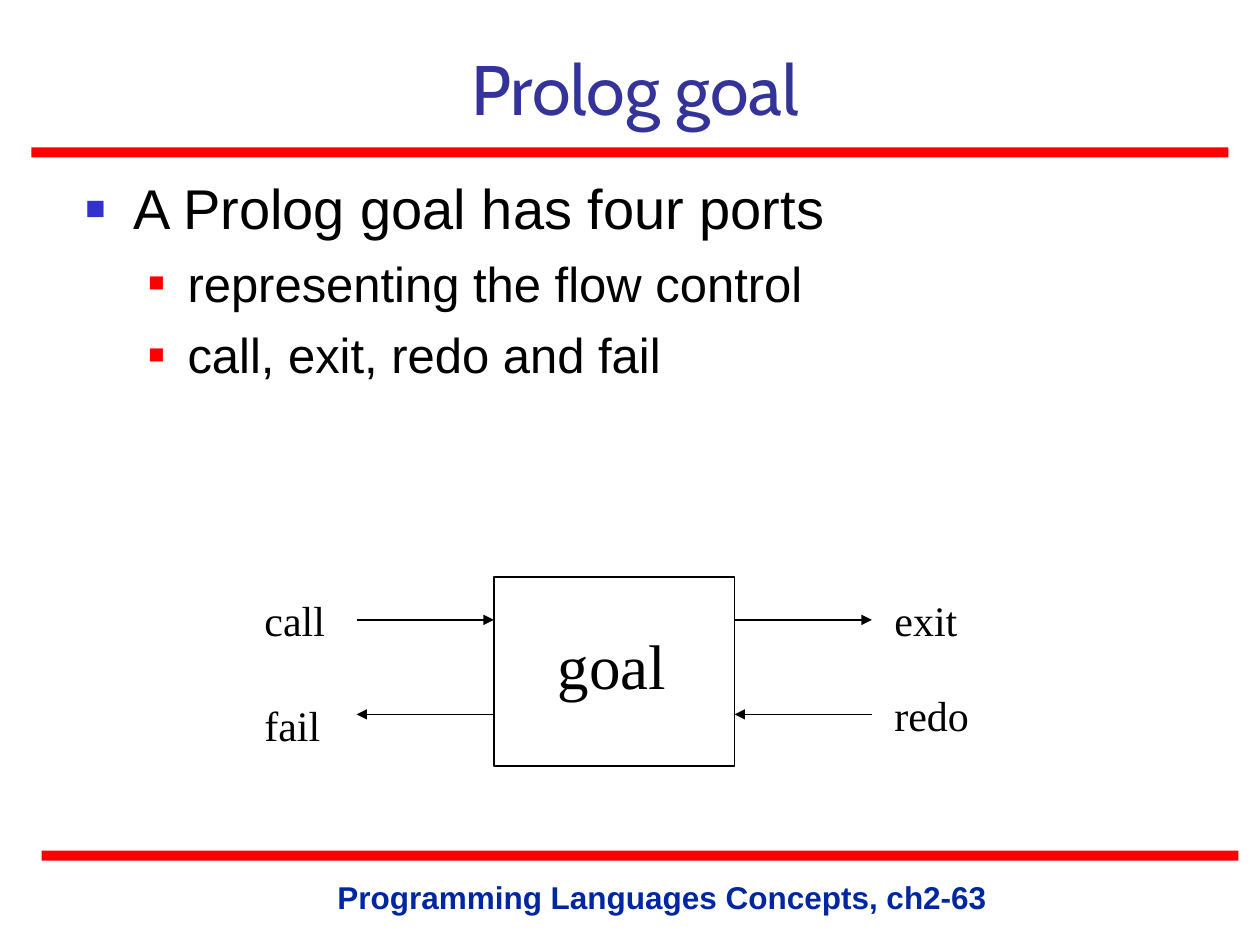
from dataclasses import dataclass

from lxml.etree import SubElement
from pptx import Presentation
from pptx.dml.color import RGBColor
from pptx.enum.shapes import MSO_CONNECTOR, MSO_SHAPE
from pptx.enum.text import MSO_ANCHOR, PP_ALIGN
from pptx.oxml.ns import qn
from pptx.util import Inches, Pt

COLORS = {
    "red": "FF0000",
    "title": "333399",
    "bullet": "3333CC",
    "footer": "00279F",
    "black": "000000",
}
SERIF = "Times New Roman"


@dataclass
class Label:
    text: str
    left: float
    top: float
    width: float
    height: float
    size: int = 24
    font: str = SERIF
    color: str = "black"
    bold: bool = False
    align: PP_ALIGN = PP_ALIGN.LEFT
    anchor: MSO_ANCHOR = MSO_ANCHOR.TOP


@dataclass
class Level:
    size: int
    left: float
    hang: float
    before: int
    color: str
    scale: int


@dataclass
class Arrow:
    start: float
    end: float
    y: float


LEVELS = [
    Level(32, 0.38, 0.38, 8, "bullet", 60),
    Level(28, 0.81, 0.31, 7, "red", 55),
]
POINTS = [
    (0, "A Prolog goal has four ports"),
    (1, "representing the flow control"),
    (1, "call, exit, redo and fail"),
]
BARS = [(0.25, 1.17), (0.33, 6.75)]
LABELS = [
    Label("Programming Languages Concepts, ch2-63", 2.17, 6.92, 6.17, 0.4,
          18, "Arial", "footer", True, PP_ALIGN.CENTER),
    Label("Prolog goal", 1.25, 0.25, 7.58, 0.83, 40, "Cabin", "title",
          align=PP_ALIGN.CENTER, anchor=MSO_ANCHOR.BOTTOM),
    Label("goal", 4.33, 4.92, 1.25, 0.7, 36),
    Label("exit", 7, 4.67, 1.08, 0.5),
    Label("redo", 7, 5.42, 1.08, 0.5),
    Label("call", 2, 4.67, 0.75, 0.5),
    Label("fail", 2, 5.5, 0.75, 0.5),
]
LEFT, RIGHT, REACH = 3.92, 5.83, 1.09
UPPER, LOWER = 4.92, 5.67
ARROWS = [
    Arrow(LEFT - REACH, LEFT, UPPER),
    Arrow(RIGHT, RIGHT + REACH, UPPER),
    Arrow(LEFT, LEFT - REACH, LOWER),
    Arrow(RIGHT + REACH, RIGHT, LOWER),
]


def rgb(name: str) -> RGBColor:
    return RGBColor.from_string(COLORS[name])


def add_frame(slide, left: float, top: float, width: float, height: float):
    box = slide.shapes.add_textbox(
        Inches(left), Inches(top), Inches(width), Inches(height))
    box.text_frame.word_wrap = True
    return box.text_frame


def add_run(para, text: str, size: int, font: str, color: str,
            bold: bool = False) -> None:
    run = para.add_run()
    run.text = text
    run.font.size = Pt(size)
    run.font.name = font
    run.font.bold = bold
    run.font.color.rgb = rgb(color)


def add_label(slide, label: Label) -> None:
    frame = add_frame(slide, label.left, label.top, label.width, label.height)
    frame.vertical_anchor = label.anchor
    para = frame.paragraphs[0]
    para.alignment = label.align
    add_run(para, label.text, label.size, label.font, label.color, label.bold)


def add_bullet(para, level: Level) -> None:
    """Give the paragraph a hanging square bullet."""
    props = para._p.get_or_add_pPr()
    props.set("marL", str(Inches(level.left)))
    props.set("indent", str(-Inches(level.hang)))
    tint = SubElement(props, qn("a:buClr"))
    SubElement(tint, qn("a:srgbClr"), val=COLORS[level.color])
    SubElement(props, qn("a:buSzPct"), val=str(level.scale * 1000))
    SubElement(props, qn("a:buFont"), typeface="Arial")
    SubElement(props, qn("a:buChar"), char="■")


def add_points(slide) -> None:
    frame = add_frame(slide, 0.58, 1.33, 6.95, 2.39)
    for i, (depth, text) in enumerate(POINTS):
        para = frame.add_paragraph() if i else frame.paragraphs[0]
        level = LEVELS[depth]
        add_bullet(para, level)
        para.level = depth
        if i:
            para.space_before = Pt(level.before)
        add_run(para, text, level.size, "Arial", "black")


def add_rect(slide, left: float, top: float, width: float, height: float):
    rect = slide.shapes.add_shape(
        MSO_SHAPE.RECTANGLE,
        Inches(left), Inches(top), Inches(width), Inches(height))
    rect.shadow.inherit = False
    return rect


def add_bar(slide, left: float, top: float) -> None:
    bar = add_rect(slide, left, top, 9.5, 0.08)
    bar.fill.solid()
    bar.fill.fore_color.rgb = rgb("red")
    bar.line.fill.background()


def add_goal(slide) -> None:
    goal = add_rect(slide, LEFT, 4.58, RIGHT - LEFT, 1.5)
    goal.fill.background()
    goal.line.color.rgb = rgb("black")
    goal.line.width = Pt(0.75)


def add_arrow(slide, arrow: Arrow) -> None:
    link = slide.shapes.add_connector(
        MSO_CONNECTOR.STRAIGHT, Inches(arrow.start), Inches(arrow.y),
        Inches(arrow.end), Inches(arrow.y))
    link.line.color.rgb = rgb("black")
    link.line.width = Pt(0.75)
    SubElement(link.line._get_or_add_ln(), qn("a:tailEnd"), type="triangle")
    SubElement(link._element.spPr, qn("a:effectLst"))


def main() -> None:
    deck = Presentation()
    deck.slide_width, deck.slide_height = Inches(10), Inches(7.5)
    slide = deck.slides.add_slide(deck.slide_layouts[6])
    for left, top in BARS:
        add_bar(slide, left, top)
    add_points(slide)
    add_goal(slide)
    for arrow in ARROWS:
        add_arrow(slide, arrow)
    for label in LABELS:
        add_label(slide, label)
    deck.save("out.pptx")


if __name__ == "__main__":
    main()
